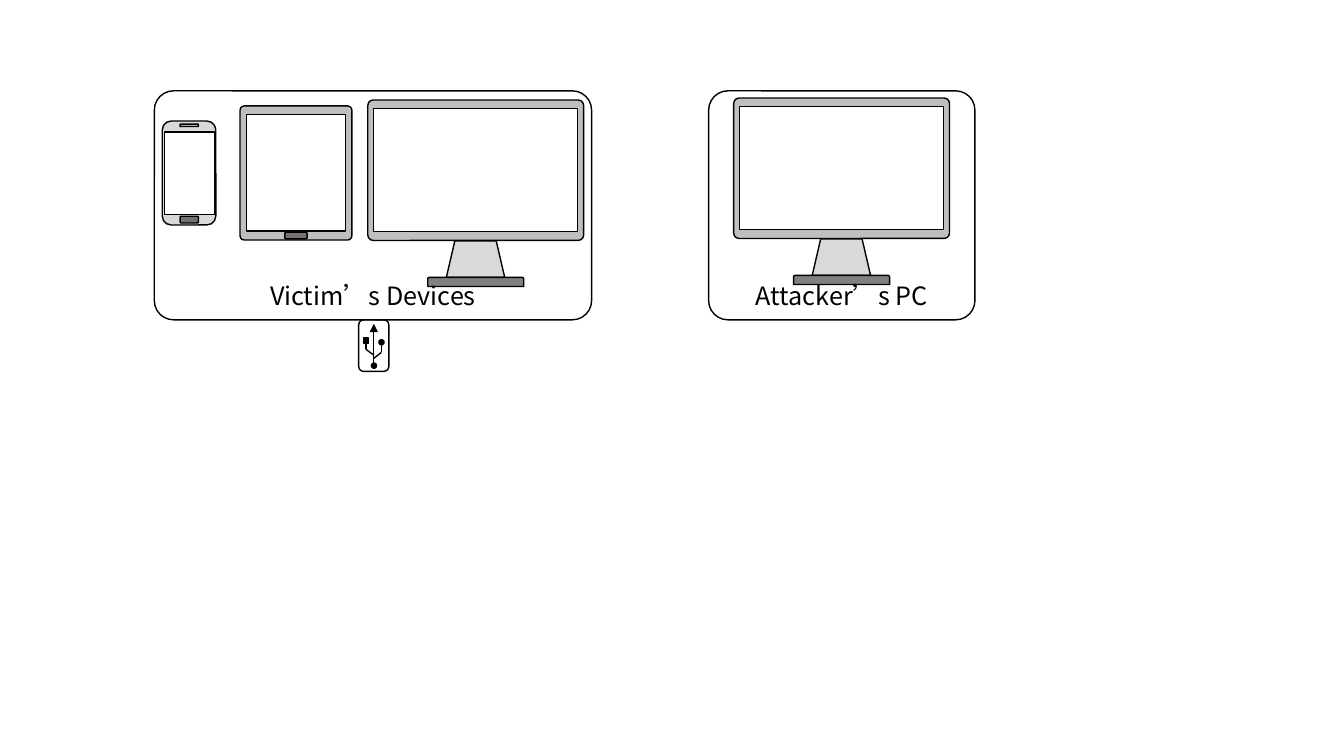
import pptx
import pptx.util
import pptx.dml.color
import pptx.enum.shapes
import pptx.enum.text
import pptx.oxml.ns
import lxml.etree

Cm, Pt = pptx.util.Cm, pptx.util.Pt
KIND = pptx.enum.shapes.MSO_SHAPE
ALIGN = pptx.enum.text.PP_ALIGN
ANCHOR = pptx.enum.text.MSO_ANCHOR
qn = pptx.oxml.ns.qn

HUES = {"ink": "000000", "paper": "FFFFFF", "pale": "D9D9D9",
        "case": "BFBFBF", "foot": "808080", "key": "767171"}
FACE = "Noto Sans CJK SC"
FRAME = {"word_wrap": True, "vertical_anchor": ANCHOR.BOTTOM,
         "margin_left": 0, "margin_right": 0, "margin_bottom": Cm(0.1)}
FONT = {"size": Pt(18), "name": FACE}


def style(item, values):
    """Set each named format value on the item."""
    for name, value in values.items():
        setattr(item, name, value)


def tint(name):
    """Return the named colour."""
    return pptx.dml.color.RGBColor.from_string(HUES[name])


def ink(line):
    """Make a line thin and black."""
    line.color.rgb = tint("ink")
    line.width = Pt(1)


def part(group, origin, kind, box, hue=None, curve=None):
    """Add one outlined shape, with its box measured from the origin."""
    left, top, width, height = box
    shape = group.shapes.add_shape(kind, Cm(origin[0] + left), Cm(origin[1] + top),
                                   Cm(width), Cm(height))
    shape.shadow.inherit = False
    ink(shape.line)
    if hue:
        shape.fill.solid()
        shape.fill.fore_color.rgb = tint(hue)
    else:
        shape.fill.background()
    if curve is not None:
        shape.adjustments[0] = curve
    return shape


def wire(group, origin, start, end, arrow=False):
    """Add one straight line, with its ends measured from the origin."""
    x, y = origin
    line = group.shapes.add_connector(
        pptx.enum.shapes.MSO_CONNECTOR.STRAIGHT,
        Cm(x + start[0]), Cm(y + start[1]), Cm(x + end[0]), Cm(y + end[1]))
    ink(line.line)
    if arrow:
        lxml.etree.SubElement(line.line._get_or_add_ln(), qn("a:tailEnd"), type="triangle")
    lxml.etree.SubElement(line._element.spPr, qn("a:effectLst"))


def phone(group, origin):
    """Draw a phone."""
    part(group, origin, KIND.ROUNDED_RECTANGLE, (0, 0, 1.35, 2.62), "pale")
    part(group, origin, KIND.ROUNDED_RECTANGLE, (0.45, 0.08, 0.46, 0.06), "case")
    part(group, origin, KIND.RECTANGLE, (0.05, 0.28, 1.26, 2.08), "paper")
    part(group, origin, KIND.ROUNDED_RECTANGLE, (0.45, 2.4, 0.46, 0.17), "key")


def tablet(group, origin):
    """Draw a tablet."""
    part(group, origin, KIND.ROUNDED_RECTANGLE, (0, 0, 2.82, 3.38), "case", 0.039)
    part(group, origin, KIND.RECTANGLE, (0.16, 0.22, 2.5, 2.93), "paper")
    part(group, origin, KIND.ROUNDED_RECTANGLE, (1.13, 3.18, 0.56, 0.17), "key")


def screen(group, origin):
    """Draw a desktop monitor on its stand."""
    part(group, origin, KIND.ROUNDED_RECTANGLE, (0, 0, 5.44, 3.54), "case", 0.039)
    part(group, origin, KIND.TRAPEZOID, (1.98, 3.55, 1.47, 0.92), "pale", 0.232)
    part(group, origin, KIND.ROUND_2_SAME_RECTANGLE, (1.51, 4.47, 2.42, 0.23), "foot")
    part(group, origin, KIND.RECTANGLE, (0.15, 0.22, 5.14, 3.1), "paper")


def usb(group, origin):
    """Draw a plug with its branching arrow."""
    part(group, origin, KIND.ROUNDED_RECTANGLE, (0, 0, 0.76, 1.3))
    wire(group, origin, (0.38, 1.1), (0.38, 0.1), arrow=True)
    for start, end in (((0.38, 0.89), (0.18, 0.74)), ((0.38, 0.97), (0.57, 0.82)),
                       ((0.18, 0.51), (0.18, 0.74)), ((0.57, 0.58), (0.57, 0.82))):
        wire(group, origin, start, end)
    for kind, left, top in ((KIND.FLOWCHART_CONNECTOR, 0.32, 1.09),
                            (KIND.RECTANGLE, 0.12, 0.46),
                            (KIND.FLOWCHART_CONNECTOR, 0.51, 0.5)):
        part(group, origin, kind, (left, top, 0.13, 0.13), "ink")


def panel(slide, box, label, tools):
    """Draw the tools at their offsets inside a labelled frame."""
    group = slide.shapes.add_group_shape()
    for draw, left, top in tools:
        draw(group, (box[0] + left, box[1] + top))
    frame = part(group, (0, 0), KIND.ROUNDED_RECTANGLE, box, curve=0.084).text_frame
    style(frame, FRAME)
    line = frame.paragraphs[0]
    line.alignment = ALIGN.CENTER
    run = line.add_run()
    run.text = label
    style(run.font, FONT)
    run.font.color.rgb = tint("ink")
    lxml.etree.SubElement(run.font._element, qn("a:ea"), typeface=FACE)


def main():
    """Build and save the slide."""
    deck = pptx.Presentation()
    style(deck, {"slide_width": Cm(33.87), "slide_height": Cm(19.05)})
    slide = deck.slides.add_slide(deck.slide_layouts[6])
    panel(slide, (3.89, 2.29, 11.02, 5.77), "Victim’s Devices",
          ((phone, 0.2, 0.76), (screen, 5.38, 0.23), (tablet, 2.16, 0.38)))
    usb(slide.shapes.add_group_shape(), (9.04, 8.06))
    panel(slide, (17.86, 2.29, 6.71, 5.77), "Attacker’s PC", ((screen, 0.63, 0.18),))
    deck.save("out.pptx")


main()
